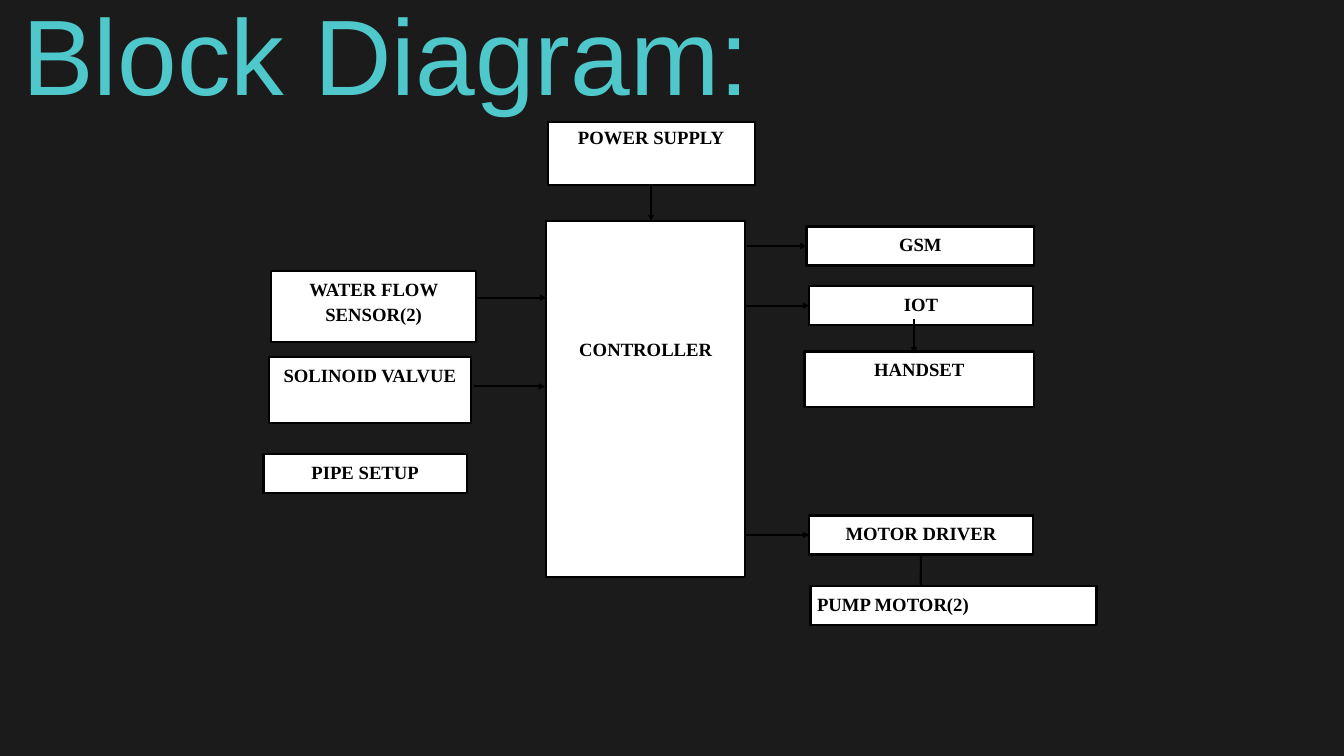
import pptx
import pptx.util
from lxml import etree
from pptx.dml.color import RGBColor
from pptx.enum.shapes import MSO_CONNECTOR, MSO_SHAPE
from pptx.enum.text import MSO_ANCHOR, MSO_AUTO_SIZE, PP_ALIGN
from pptx.oxml.ns import qn
from pptx.util import Inches, Pt

BACKGROUND = RGBColor(0x1B, 0x1B, 0x1B)
TEAL = RGBColor(0x4E, 0xC8, 0xCA)
WHITE = RGBColor(0xFF, 0xFF, 0xFF)
BLACK = RGBColor(0, 0, 0)

TITLE = "Block Diagram:"
TOP, LEFT, BOTTOM = 0, 1, 2
THIN, THICK = 2.25, 2.5
ROW = 0.58  # height of a one-line block

# label: left, top, width, height, outline
BLOCKS = {
    "CONTROLLER": (8.13, 3.29, 2.96, 5.3, THIN),
    "POWER SUPPLY": (8.15, 1.82, 3.08, 0.93, THIN),
    "WATER FLOW SENSOR(2)": (4.03, 4.03, 3.06, 1.06, THIN),
    "SOLINOID VALVUE": (4, 5.31, 3.01, 0.98, THIN),
    "PIPE SETUP": (3.92, 6.76, 3.03, ROW, THICK),
    "GSM": (12, 3.37, 3.39, ROW, THICK),
    "IOT": (12.04, 4.26, 3.33, ROW, THICK),
    "HANDSET": (11.97, 5.23, 3.42, 0.83, THICK),
    "MOTOR DRIVER": (12.04, 7.67, 3.33, ROW, THICK),
}
# The pump block lies over the end of the arrow that leads to it.
PUMP = ("PUMP MOTOR(2)", (12.06, 8.72, 4.26, ROW, THICK))

# start, tip, joined start (block, side), joined tip (block, side)
ARROWS = [
    ((9.69, 2.75), (9.69, 3.29), ("POWER SUPPLY", BOTTOM), None),
    ((7.09, 4.43), (8.13, 4.43), None, None),
    ((7.06, 5.75), (8.11, 5.75), None, None),
    ((11.11, 3.66), (12, 3.66), None, ("GSM", LEFT)),
    ((11.09, 4.55), (12.04, 4.55), None, ("IOT", LEFT)),
    ((11.09, 7.96), (12.04, 7.96), None, ("MOTOR DRIVER", LEFT)),
    ((13.6, 4.75), (13.6, 5.26), None, None),
    ((13.7, 8.25), (13.7, 8.81), ("MOTOR DRIVER", BOTTOM), None),
]


def add_title(slide):
    sp = slide.shapes.title
    sp.left, sp.top, sp.width, sp.height = map(Inches, (0.33, 0.54, 14.02, 1.39))
    tf = sp.text_frame
    tf.text = TITLE
    tf.margin_left = tf.margin_top = tf.margin_right = tf.margin_bottom = 0
    tf.vertical_anchor = MSO_ANCHOR.TOP
    tf.auto_size = MSO_AUTO_SIZE.SHAPE_TO_FIT_TEXT
    p = tf.paragraphs[0]
    p.alignment = PP_ALIGN.LEFT
    p.line_spacing = Pt(86.4)
    font = p.runs[0].font
    font.name, font.size, font.color.rgb = "Arial", Pt(115), TEAL


def add_block(slide, label, box):
    *place, outline = box
    sp = slide.shapes.add_shape(MSO_SHAPE.RECTANGLE, *map(Inches, place))
    sp.shadow.inherit = False
    sp.fill.solid()
    sp.fill.fore_color.rgb = WHITE
    sp.line.color.rgb = BLACK
    sp.line.width = Pt(outline)
    tf = sp.text_frame
    tf.word_wrap = True
    tf.vertical_anchor = MSO_ANCHOR.TOP
    tf.text = label
    p = tf.paragraphs[0]
    p.alignment = PP_ALIGN.CENTER
    p.line_spacing = 1.15
    font = p.runs[0].font
    font.name, font.size, font.bold = "Times New Roman", Pt(20), True
    font.color.rgb = BLACK
    return sp


def add_arrow(slide, start, tip):
    line = slide.shapes.add_connector(
        MSO_CONNECTOR.STRAIGHT, *map(Inches, start + tip))
    line.line.color.rgb = BLACK
    line.line.width = Pt(THIN)
    etree.SubElement(line.line._get_or_add_ln(), qn("a:tailEnd"), type="triangle")
    etree.SubElement(line._element.spPr, qn("a:effectLst"))
    return line


def main():
    prs = pptx.Presentation()
    prs.slide_width, prs.slide_height = Inches(20), Inches(11.25)
    slide = prs.slides.add_slide(prs.slide_layouts[5])
    slide.background.fill.solid()
    slide.background.fill.fore_color.rgb = BACKGROUND

    add_title(slide)
    blocks = {label: add_block(slide, label, box) for label, box in BLOCKS.items()}
    blocks["CONTROLLER"].text_frame.margin_top = Inches(1.69)
    blocks["POWER SUPPLY"].text_frame.paragraphs[0].line_spacing = 1.0

    for start, tip, start_joint, tip_joint in ARROWS:
        line = add_arrow(slide, start, tip)
        if start_joint:
            line.begin_connect(blocks[start_joint[0]], start_joint[1])
        if tip_joint:
            line.end_connect(blocks[tip_joint[0]], tip_joint[1])

    pump = add_block(slide, *PUMP)
    pump.text_frame.paragraphs[0].alignment = PP_ALIGN.LEFT
    prs.save("out.pptx")


if __name__ == "__main__":
    main()
